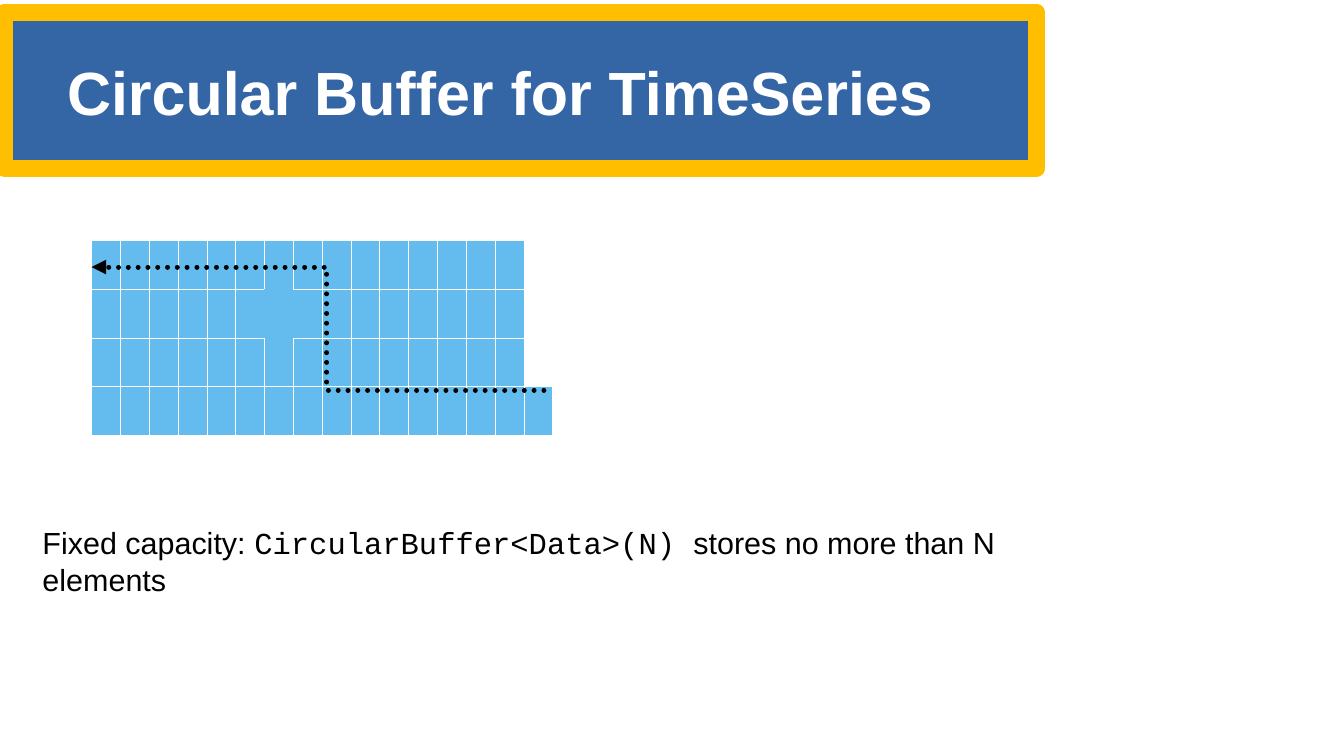
from lxml.etree import SubElement
from pptx import Presentation
from pptx.dml.color import RGBColor
from pptx.enum.dml import MSO_LINE
from pptx.enum.shapes import MSO_SHAPE
from pptx.enum.text import MSO_ANCHOR
from pptx.oxml.ns import qn
from pptx.util import Inches, Pt

BLUE, GOLD, SKY, WHITE, BLACK = "3465A4", "FFBF00", "63BBEE", "FFFFFF", "000000"
ROWS, COLUMNS = 4, 16
OPEN_SLOT = (1, 6)
SIDES = {"lnL": (0, -1), "lnR": (0, 1), "lnT": (-1, 0), "lnB": (1, 0)}
NO_STYLE = "{2D5ABB26-0587-4C30-8999-92F81FD0307C}"


def paint(format_part, color):
    format_part.solid()
    format_part.fore_color.rgb = RGBColor.from_string(color)


def add_banner(slide):
    banner = slide.shapes.add_shape(
        MSO_SHAPE.RECTANGLE, Inches(0.04), Inches(0.1), Inches(8.46), Inches(1.28))
    banner.shadow.inherit = False
    paint(banner.fill, BLUE)
    paint(banner.line.fill, GOLD)
    banner.line.width = Pt(10.09)
    SubElement(banner.line._get_or_add_ln(), qn("a:round"))


def add_text(slide, left, top, width, height, pieces, size, color, bold=False):
    box = slide.shapes.add_textbox(Inches(left), Inches(top), Inches(width), Inches(height))
    frame = box.text_frame
    frame.word_wrap = True
    for words, font_name in pieces:
        run = frame.paragraphs[0].add_run()
        run.text = words
        run.font.name = font_name
        run.font.size = Pt(size)
        run.font.bold = bold
        paint(run.font.fill, color)
    return frame


def add_title(slide, title):
    frame = add_text(slide, 0.55, 0.24, 7.68, 1.02, [(title, "Arial")], 36, WHITE, True)
    frame.vertical_anchor = MSO_ANCHOR.MIDDLE
    frame.margin_left = frame.margin_right = frame.margin_top = frame.margin_bottom = 0


def add_cell_borders(cell, row, column):
    properties = cell._tc.get_or_add_tcPr()
    for position, (side, (down, across)) in enumerate(SIDES.items()):
        border = properties.makeelement(qn(f"a:{side}"), {"w": str(Pt(0.06))})
        properties.insert(position, border)
        if OPEN_SLOT in ((row, column), (row + down, column + across)):
            SubElement(border, qn("a:noFill"))
        else:
            line_fill = SubElement(border, qn("a:solidFill"))
            SubElement(line_fill, qn("a:srgbClr"), val=WHITE)


def add_buffer(slide):
    graphic = slide.shapes.add_table(
        ROWS, COLUMNS, Inches(0.75), Inches(1.97), Inches(3.78), Inches(1.6))
    buffer = graphic.table
    buffer.first_row = buffer.horz_banding = False
    buffer._tbl.tblPr.find(qn("a:tableStyleId")).text = NO_STYLE
    for row in range(ROWS):
        buffer.rows[row].height = Inches(0.4)
        for column in range(COLUMNS):
            slot = buffer.cell(row, column)
            slot.margin_left = slot.margin_right = slot.margin_top = slot.margin_bottom = 0
            unused = column == COLUMNS - 1 and row < ROWS - 1
            paint(slot.fill, WHITE if unused else SKY)
            add_cell_borders(slot, row, column)


def add_data_path(slide, points):
    start, *bends = [(Inches(x), Inches(y)) for x, y in points]
    builder = slide.shapes.build_freeform(*start)
    builder.add_line_segments(bends, close=False)
    data_path = builder.convert_to_shape()
    data_path.shadow.inherit = False
    data_path.fill.background()
    paint(data_path.line.fill, BLACK)
    data_path.line.width = Pt(2.89)
    data_path.line.dash_style = MSO_LINE.ROUND_DOT
    outline = data_path.line._get_or_add_ln()
    outline.set("cap", "rnd")
    SubElement(outline, qn("a:round"))
    SubElement(outline, qn("a:tailEnd"), type="triangle")


def main():
    presentation = Presentation()
    presentation.slide_width = Inches(11.02)
    presentation.slide_height = Inches(6.2)
    slide = presentation.slides.add_slide(presentation.slide_layouts[6])
    add_banner(slide)
    add_title(slide, "Circular Buffer for TimeSeries")
    capacity_note = [
        ("Fixed capacity: ", "Arial"),
        ("CircularBuffer<Data>(N) ", "Courier New"),
        ("stores no more than N elements", "Arial"),
    ]
    add_text(slide, 0.25, 4.25, 8.25, 0.67, capacity_note, 18, BLACK)
    add_buffer(slide)
    add_data_path(slide, [(4.46, 3.2), (2.68, 3.2), (2.68, 2.19), (0.75, 2.19)])
    presentation.save("out.pptx")


if __name__ == "__main__":
    main()
